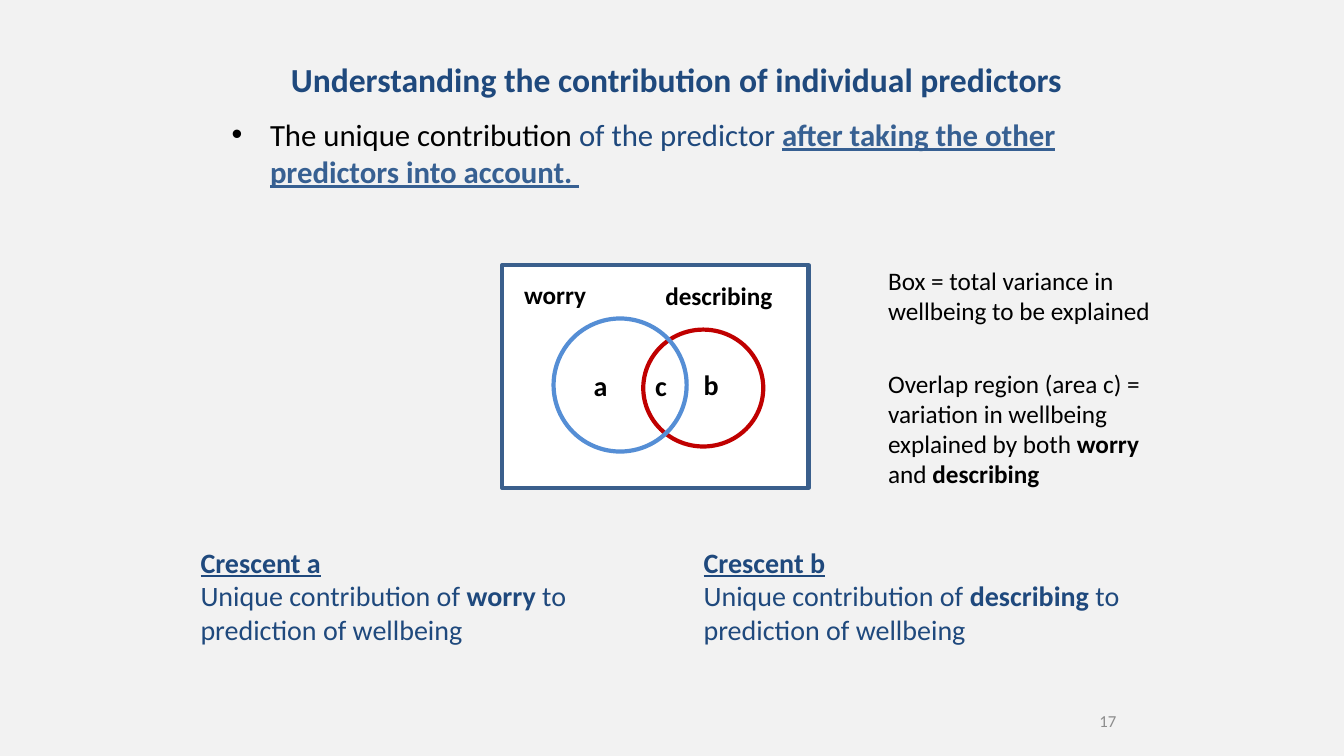
from pptx import Presentation
from pptx.dml.color import RGBColor
from pptx.enum.shapes import MSO_SHAPE
from pptx.enum.text import MSO_ANCHOR, PP_ALIGN
from pptx.util import Inches, Pt
from lxml import etree

RECT, OVAL = MSO_SHAPE.RECTANGLE, MSO_SHAPE.OVAL
TOP, MIDDLE = MSO_ANCHOR.TOP, MSO_ANCHOR.MIDDLE
LEFT, CENTER, RIGHT = PP_ALIGN.LEFT, PP_ALIGN.CENTER, PP_ALIGN.RIGHT
A = "http://schemas.openxmlformats.org/drawingml/2006/main"
FONT = "Calibri"
COLORS = {
    "background": "F2F2F2",
    "white": "FFFFFF",
    "black": "000000",
    "navy": "1F497D",
    "emphasis": "376092",
    "frame": "3A5F8C",
    "worry": "558ED5",
    "describing": "C00000",
    "number": "8C8C8C",
}


def rgb(name):
    return RGBColor.from_string(COLORS[name])


def add_text(s, box, paragraphs, size, color="black", align=LEFT, anchor=TOP, wrap=True):
    tf = s.shapes.add_textbox(*map(Inches, box)).text_frame
    tf.word_wrap = wrap
    tf.vertical_anchor = anchor
    for i, runs in enumerate(paragraphs):
        p = tf.paragraphs[0] if i == 0 else tf.add_paragraph()
        p.alignment = align
        p.font.name = FONT
        p.font.size = Pt(size)
        p.font.color.rgb = rgb(color)
        for text, style, *run_color in runs:
            r = p.add_run()
            r.text = text
            r.font.bold = "b" in style
            r.font.underline = "u" in style
            r.font.name = FONT
            r.font.size = Pt(size)
            r.font.color.rgb = rgb(run_color[0] if run_color else color)
    return tf


def add_outline(s, kind, box, line, fill=None):
    sp = s.shapes.add_shape(kind, *map(Inches, box))
    sp.shadow.inherit = False
    if fill:
        sp.fill.solid()
        sp.fill.fore_color.rgb = rgb(fill)
    else:
        sp.fill.background()
    sp.line.color.rgb = rgb(line)
    sp.line.width = Pt(3)


def add_title(s, box):
    title = "Understanding the contribution of individual predictors"
    add_text(s, box, [[(title, "b")]], 24, "navy", CENTER, MIDDLE)


def add_bullet(s, box):
    runs = [
        ("The unique contribution ", ""),
        ("of the predictor ", "", "navy"),
        ("after taking the other predictors into account. ", "bu", "emphasis"),
    ]
    p = add_text(s, box, [runs], 22).paragraphs[0]
    p.space_before = Pt(4.4)
    pPr = p._p.get_or_add_pPr()
    pPr.set("marL", str(Inches(0.38)))
    pPr.set("indent", str(Inches(-0.38)))
    font = etree.Element(f"{{{A}}}buFont", typeface="Arial")
    char = etree.Element(f"{{{A}}}buChar", char="•")
    pPr.find(f"{{{A}}}spcBef").addnext(font)
    font.addnext(char)


def add_venn(s, box):
    x, y, w, h = box
    add_outline(s, RECT, box, "frame", "white")
    add_outline(s, OVAL, (x + 1.4, y + 0.64, 1.19, 1.16), "describing", "white")
    for letter, dx, dy in (("a", 0.81, 0.98), ("b", 1.9, 0.97), ("c", 1.42, 0.98)):
        add_text(s, (x + dx, y + dy, 0.36, 0.44), [[(letter, "b")]], 20)
    add_outline(s, OVAL, (x + 0.51, y + 0.53, 1.32, 1.32), "worry")
    add_text(s, (x + 1.52, y + 0.1, 1.31, 0.4), [[("describing", "b")]], 18)
    add_text(s, (x + 0.12, y + 0.09, 0.82, 0.4), [[("worry", "b")]], 18, wrap=False)


def add_crescent(s, box, letter, predictor):
    paragraphs = [
        [(f"Crescent {letter}", "bu")],
        [("Unique contribution of ", ""), (predictor, "b"),
         (" to prediction of wellbeing", "")],
    ]
    add_text(s, box, paragraphs, 20, "navy")


def add_key(s, box):
    x, y, w, h = box
    total = [("Box = total variance in wellbeing to be explained", "")]
    overlap = [
        ("Overlap region (area c) = variation in wellbeing explained by both ", ""),
        ("worry", "b"),
        (" and ", ""),
        ("describing", "b"),
    ]
    add_text(s, (x, y, w, 0.71), [total], 18)
    add_text(s, (x, y + 1.02, w, h - 1.02), [overlap], 18)


def add_number(s, box):
    add_text(s, box, [[("17", "")]], 12, "number", RIGHT, MIDDLE)


def main():
    prs = Presentation()
    prs.slide_width, prs.slide_height = Inches(13.33), Inches(7.5)
    s = prs.slides.add_slide(prs.slide_layouts[6])
    s.background.fill.solid()
    s.background.fill.fore_color.rgb = rgb("background")
    add_number(s, (10.62, 6.95, 0.55, 0.4))
    add_bullet(s, (2.2, 1.1, 8.77, 1.01))
    add_venn(s, (4.98, 2.63, 3.04, 2.21))
    add_title(s, (2.21, 0.48, 9, 0.6))
    for x, letter, predictor in ((1.89, "a", "worry"), (6.88, "b", "describing")):
        add_crescent(s, (x, 5.36, 4.61, 1.11), letter, predictor)
    add_key(s, (8.71, 2.58, 3.01, 2.33))
    prs.save("out.pptx")


if __name__ == "__main__":
    main()
